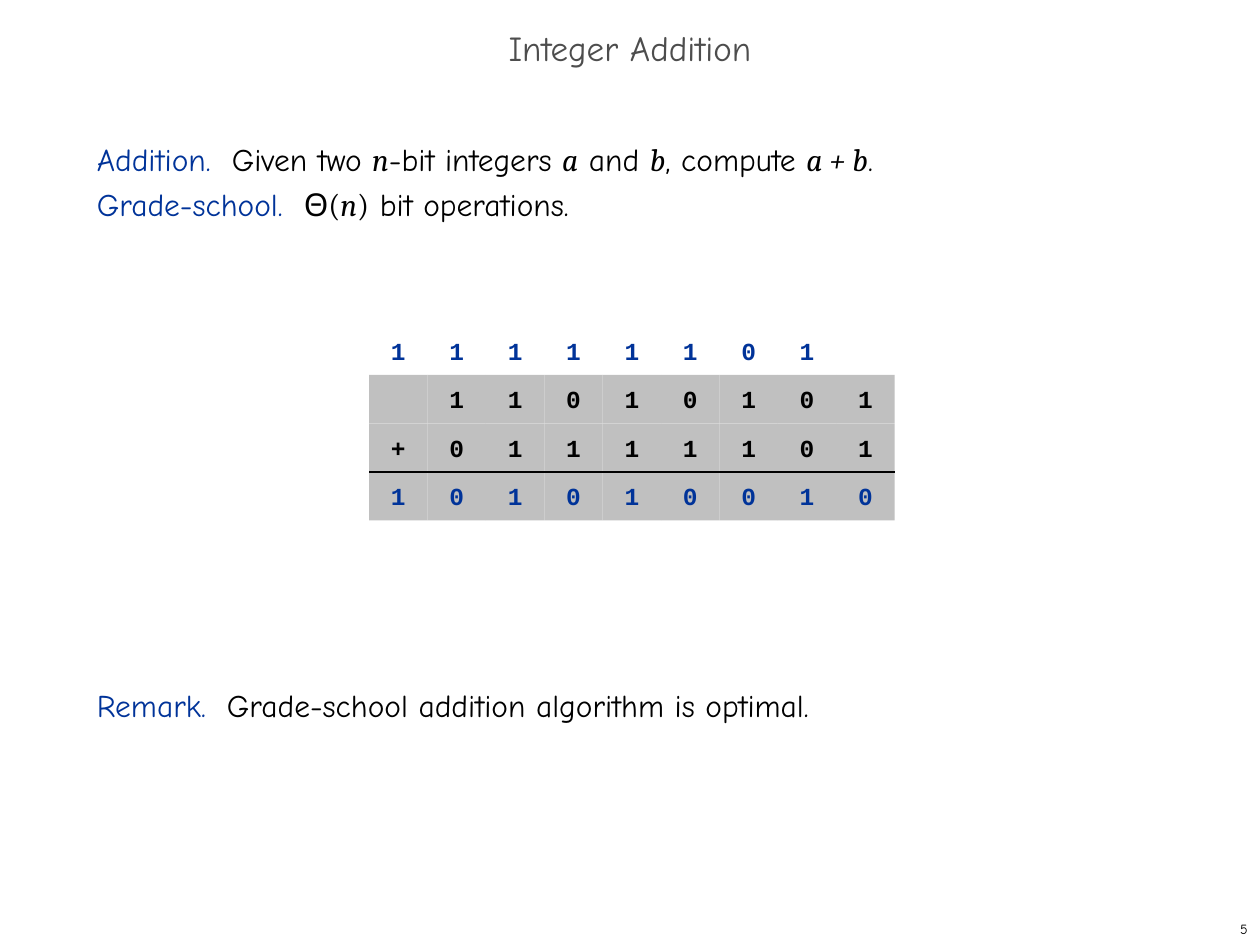
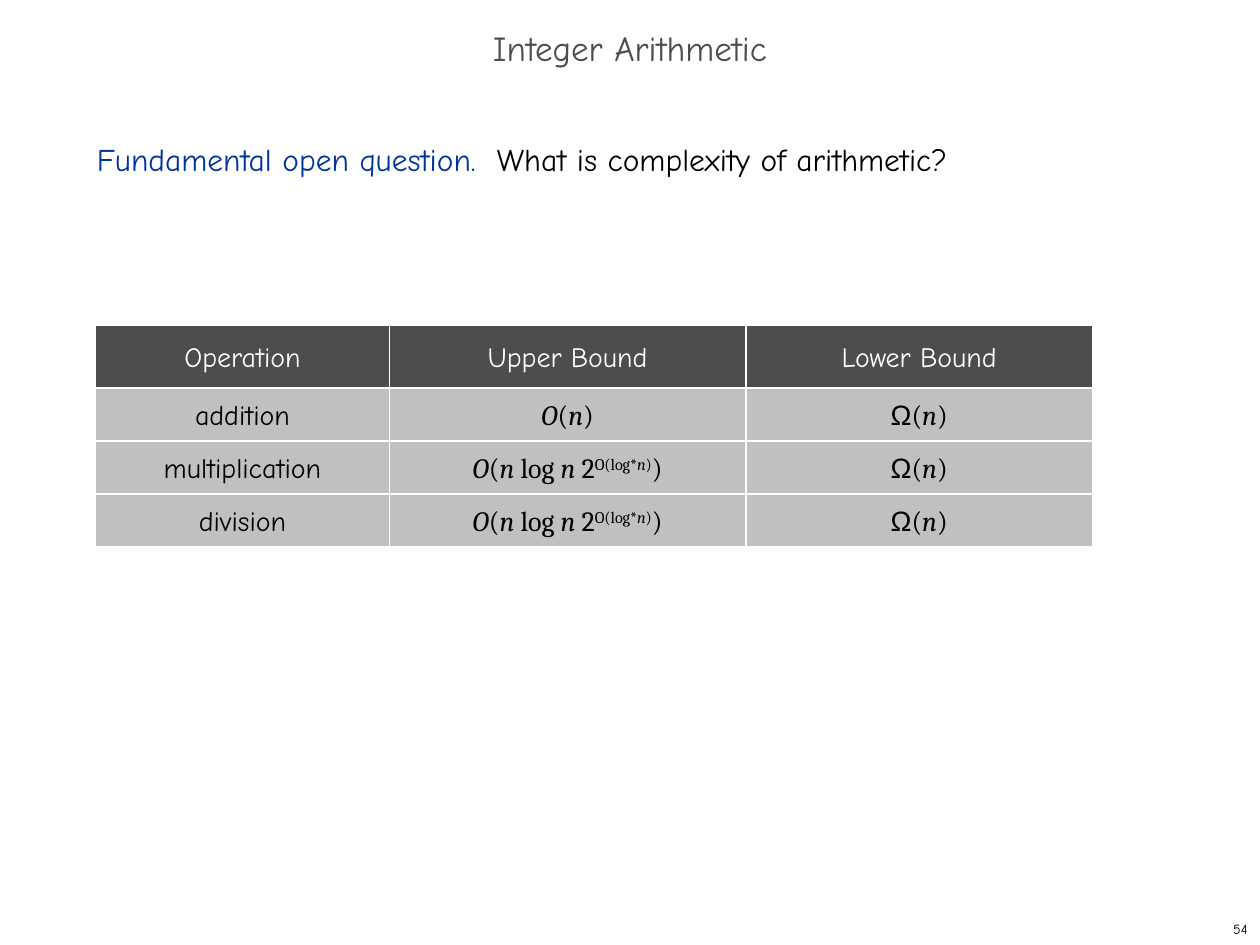
from lxml import etree
from pptx import Presentation
from pptx.dml.color import RGBColor
from pptx.enum.shapes import MSO_CONNECTOR, MSO_SHAPE
from pptx.enum.text import MSO_ANCHOR, MSO_AUTO_SIZE, PP_ALIGN
from pptx.oxml.ns import qn
from pptx.util import Inches, Pt

CENTER, RIGHT = PP_ALIGN.CENTER, PP_ALIGN.RIGHT
MIDDLE = MSO_ANCHOR.MIDDLE
NO_FIT = MSO_AUTO_SIZE.NONE
RECT, STRAIGHT = MSO_SHAPE.RECTANGLE, MSO_CONNECTOR.STRAIGHT

BLUE, BLACK, WHITE = "003399", "000000", "FFFFFF"
DARK, GRAY = "4D4D4D", "C0C0C0"

STYLES = {
    "text": ("Comic Neue", False, 0),
    "symbol": ("Arial", False, 0),
    "math": ("Cambria", False, 0),
    "var": ("Cambria", True, 0),
    "sup": ("Cambria", False, 30000),
    "supvar": ("Cambria", True, 30000),
    "digit": ("Courier New", False, 0),
}


def rgb(value):
    return RGBColor.from_string(value)


def add_runs(p, runs, size, color=BLACK):
    for text, style, *own_color in runs:
        font, italic, baseline = STYLES[style]
        r = p.add_run()
        r.text = text
        r.font.name = font
        r.font.size = Pt(size)
        r.font.bold = style == "digit"
        r.font.italic = italic
        r.font.color.rgb = rgb(own_color[0] if own_color else color)
        if baseline:
            r._r.get_or_add_rPr().set("baseline", str(baseline))


prs = Presentation()
prs.slide_width, prs.slide_height = Inches(10), Inches(7.5)

PAGES = [
    ("Integer Addition", "5", [
        (0, [("Addition.  ", "text", BLUE), ("Given two ", "text"), ("n", "var"),
             ("-bit integers ", "text"), ("a", "var"), (" and ", "text"),
             ("b", "var"), (", compute ", "text"), ("a + b", "var"), (".", "text")]),
        (0, [("Grade-school.  ", "text", BLUE), ("Θ", "text"), ("(", "math"),
             ("n", "var"), (")", "math"), (" bit operations.", "text")]),
        (260, [("Remark.  ", "text", BLUE),
               ("Grade-school addition algorithm is optimal.", "text")]),
    ]),
    ("Integer Arithmetic", "54", [
        (0, [("Fundamental open question.  ", "text", BLUE),
             ("What is complexity of arithmetic?", "text")]),
    ]),
]

slides = []
for title_text, number, paragraphs in PAGES:
    s = prs.slides.add_slide(prs.slide_layouts[5])
    slides.append(s)

    title = s.shapes.title
    title.left, title.top = Inches(0), Inches(0.17)
    title.width, title.height = Inches(10), Inches(0.5)
    tf = title.text_frame
    tf.auto_size = NO_FIT
    tf.vertical_anchor = MIDDLE
    p = tf.paragraphs[0]
    p.alignment = CENTER
    p.line_spacing = 0.7
    add_runs(p, [(title_text, "text")], 20, DARK)

    footer = s.shapes.add_textbox(Inches(7.92), Inches(7.25), Inches(2.08), Inches(0.25))
    tf = footer.text_frame
    tf.word_wrap = True
    tf.vertical_anchor = MIDDLE
    p = tf.paragraphs[0]
    p.alignment = RIGHT
    add_runs(p, [(number, "text")], 8)

    body = s.shapes.add_textbox(Inches(0.67), Inches(1), Inches(8.58), Inches(5.92))
    tf = body.text_frame
    tf.word_wrap = True
    for i, (space, runs) in enumerate(paragraphs):
        p = tf.add_paragraph() if i else tf.paragraphs[0]
        p.line_spacing = Pt(26)
        p.space_before = Pt(space)
        add_runs(p, runs, 18)

addition, arithmetic = slides
cells = []

GRID_LEFT, GRID_TOP = 2.93, 2.59
GRID_W, GRID_H = 4.17, 1.54
BIT_ROWS = [
    ("11111101", BLUE, None),
    (" 11010101", BLACK, GRAY),
    ("+01111101", BLACK, GRAY),
    ("101010010", BLUE, GRAY),
]
bit_w, bit_h = GRID_W / 9, GRID_H / len(BIT_ROWS)

for row, (bits, color, fill) in enumerate(BIT_ROWS):
    for col, bit in enumerate(bits):
        box = (GRID_LEFT + col * bit_w, GRID_TOP + row * bit_h, bit_w, bit_h)
        runs = [(bit, "digit")] if bit != " " else []
        cells.append((addition, box, fill, None, runs, 14, color))

LINEAR = [("O", "var"), ("(", "math"), ("n", "var"), (")", "math")]
NEAR_LINEAR = [("O", "var"), ("(", "math"), ("n", "var"), (" log ", "math"),
               ("n", "var"), (" 2", "math"), ("O(log*", "sup"),
               ("n", "supvar"), (")", "sup"), (")", "math")]
OMEGA = [("Ω", "symbol"), ("(", "math"), ("n", "var"), (")", "math")]
BOUNDS = [
    (0.5, DARK, WHITE, [[(name, "text")] for name in
                        ("Operation", "Upper Bound", "Lower Bound")]),
    (0.42, GRAY, BLACK, [[("addition", "text")], LINEAR, OMEGA]),
    (0.42, GRAY, BLACK, [[("multiplication", "text")], NEAR_LINEAR, OMEGA]),
    (0.42, GRAY, BLACK, [[("division", "text")], NEAR_LINEAR, OMEGA]),
]
COL_WIDTHS = [2.33, 2.83, 2.75]

top = 2.58
for height, fill, color, entries in BOUNDS:
    left = 0.76
    for width, runs in zip(COL_WIDTHS, entries):
        cells.append((arithmetic, (left, top, width, height), fill, WHITE, runs, 16, color))
        left += width
    top += height

for s, box, fill, border, runs, size, color in cells:
    box = [Inches(length) for length in box]
    if fill:
        sp = s.shapes.add_shape(RECT, *box)
        sp.shadow.inherit = False
        sp.fill.solid()
        sp.fill.fore_color.rgb = rgb(fill)
    else:
        sp = s.shapes.add_textbox(*box)
    if border:
        sp.line.color.rgb = rgb(border)
        sp.line.width = Pt(0.75)
    else:
        sp.line.fill.background()
    tf = sp.text_frame
    tf.word_wrap = False
    tf.vertical_anchor = MIDDLE
    p = tf.paragraphs[0]
    p.alignment = CENTER
    add_runs(p, runs, size, color)

sum_y = GRID_TOP + 3 * bit_h
sum_split = GRID_LEFT + 5 * bit_w
for start, end in [(sum_split, GRID_LEFT), (GRID_LEFT + GRID_W, sum_split)]:
    sum_line = addition.shapes.add_connector(
        STRAIGHT, Inches(start), Inches(sum_y), Inches(end), Inches(sum_y))
    sum_line.line.color.rgb = rgb(BLACK)
    sum_line.line.width = Pt(1.25)
    etree.SubElement(sum_line._element.spPr, qn("a:effectLst"))

prs.save("out.pptx")
